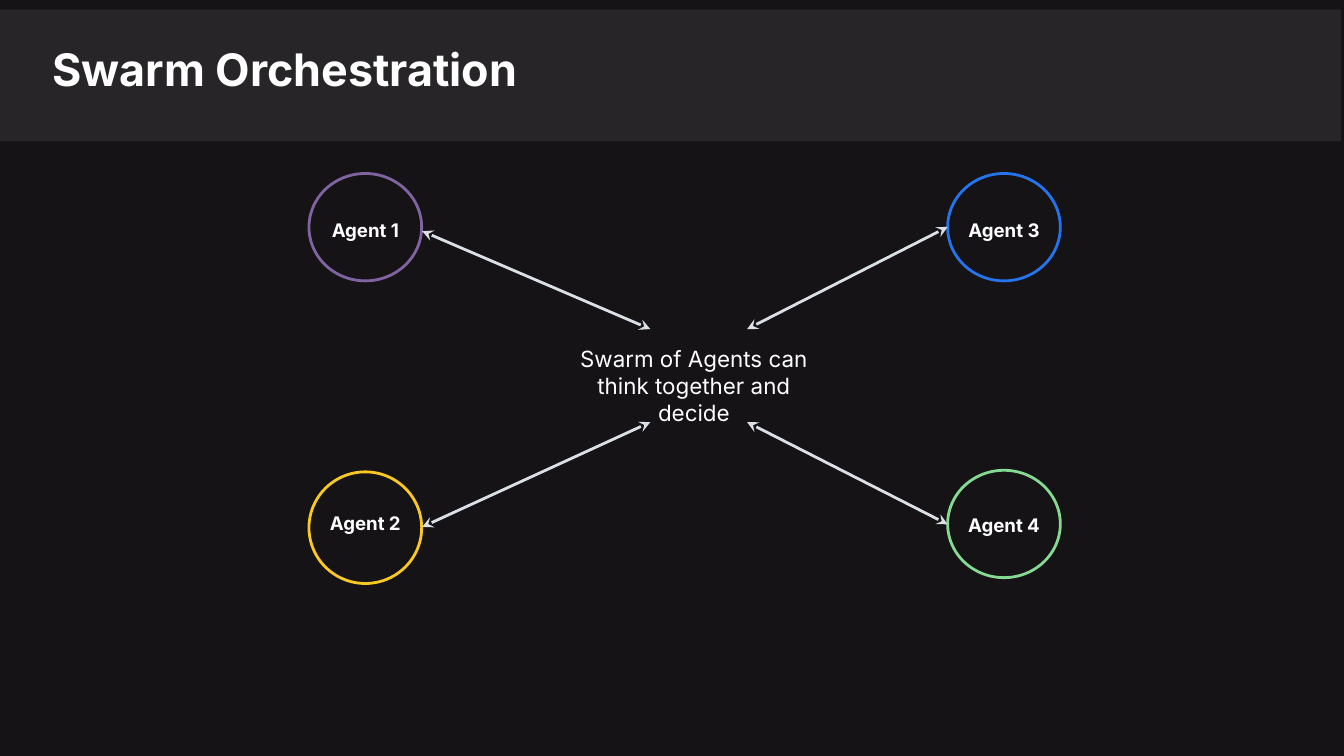
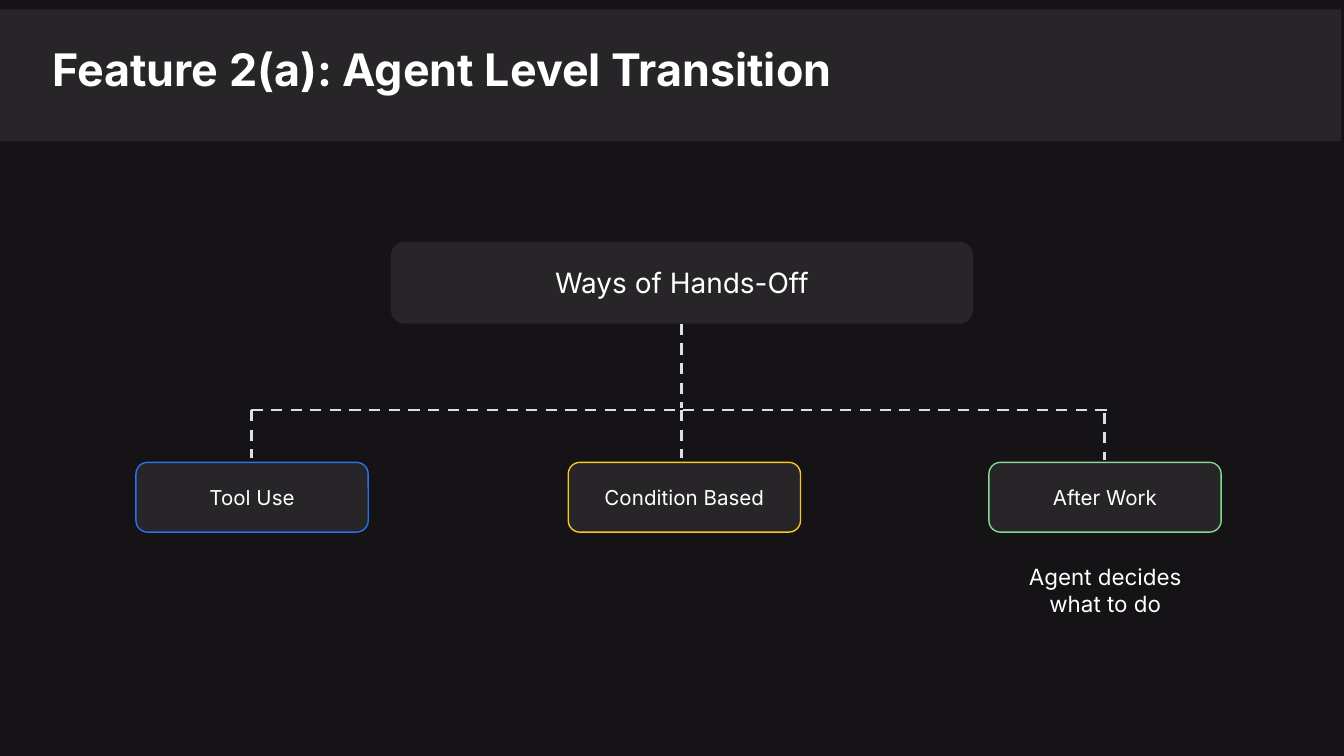
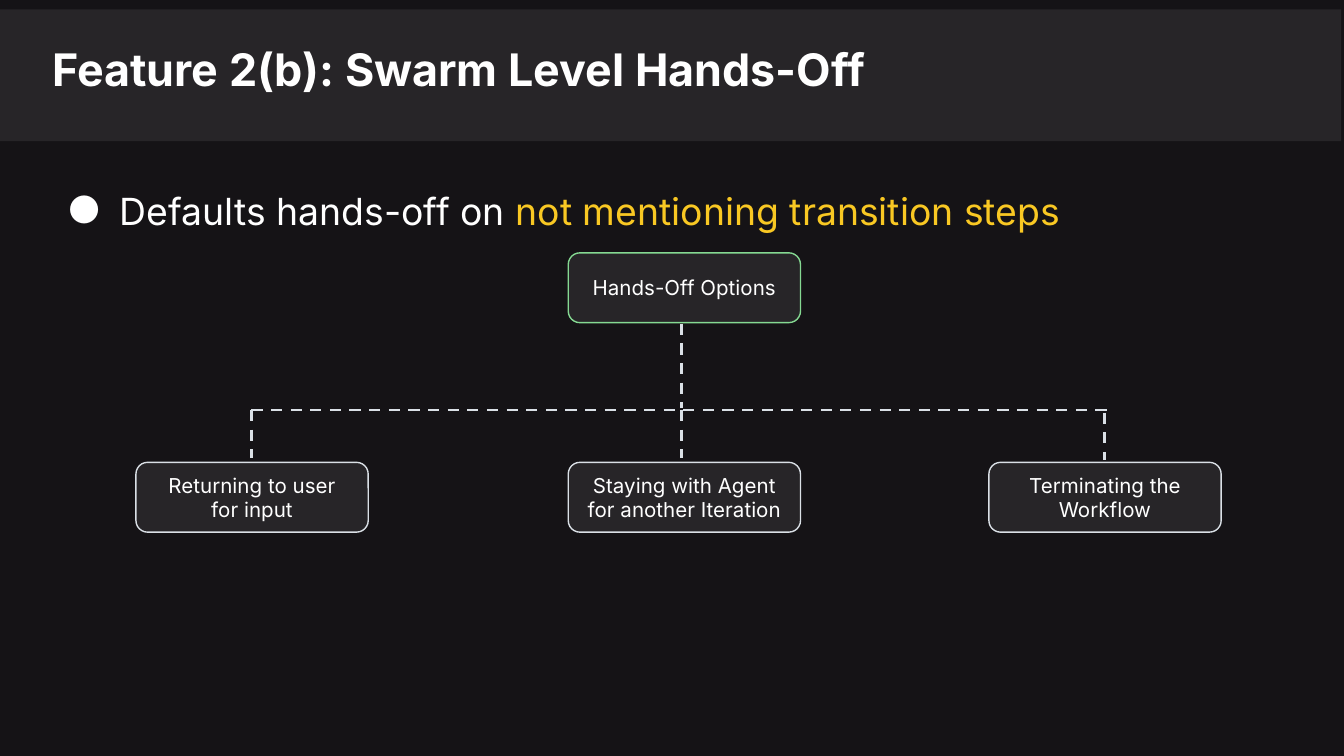
from lxml import etree
from pptx import Presentation
from pptx.dml.color import RGBColor
from pptx.enum import dml, shapes, text
from pptx.oxml.ns import qn
from pptx.util import Cm, Pt

BACKGROUND = RGBColor(0x15, 0x13, 0x16)
PANEL = RGBColor(0x27, 0x25, 0x28)
WHITE = RGBColor(0xFF, 0xFF, 0xFF)
GREY = RGBColor(0xDA, 0xE0, 0xE6)
BLUE = RGBColor(0x26, 0x74, 0xED)
GREEN = RGBColor(0x85, 0xD9, 0x92)
YELLOW = RGBColor(0xF9, 0xC8, 0x23)
PURPLE = RGBColor(0x80, 0x64, 0xA2)
FONT = "Inter"
CENTER = text.PP_ALIGN.CENTER
TOP, MIDDLE = text.MSO_ANCHOR.TOP, text.MSO_ANCHOR.MIDDLE


def write(shape, runs, size, bold=False, align=CENTER, anchor=TOP):
    """Fill the shape with one paragraph of (words, colour) runs."""
    frame = shape.text_frame
    frame.word_wrap = True
    frame.auto_size = text.MSO_AUTO_SIZE.NONE
    frame.vertical_anchor = anchor
    frame.margin_left = frame.margin_right = Cm(0.25)
    frame.margin_top = frame.margin_bottom = Cm(0.25)
    paragraph = frame.paragraphs[0]
    paragraph.alignment = align
    for words, colour in runs:
        run = paragraph.add_run()
        run.text = words
        run.font.name = FONT
        run.font.size = Pt(size)
        run.font.bold = bold
        run.font.color.rgb = colour
    return paragraph


def add_line(slide, points, dashed=False, arrows=False):
    connector = slide.shapes.add_connector(
        shapes.MSO_CONNECTOR.STRAIGHT, *[Cm(value) for value in points])
    connector.line.color.rgb = GREY
    connector.line.width = Pt(1.5)
    if dashed:
        connector.line.dash_style = dml.MSO_LINE.DASH
    properties = connector.element.spPr
    if arrows:
        line = properties.find(qn("a:ln"))
        for end in ("a:headEnd", "a:tailEnd"):
            etree.SubElement(line, qn(end), type="stealth")
    etree.SubElement(properties, qn("a:effectLst"))


presentation = Presentation()
presentation.slide_width = Cm(25.4)
presentation.slide_height = Cm(14.29)
background = presentation.slide_master.background.fill
background.solid()
background.fore_color.rgb = BACKGROUND

# Title bands
titles = ["Swarm Orchestration",
          "Feature 2(a): Agent Level Transition",
          "Feature 2(b): Swarm Level Hands-Off"]
for words in titles:
    slide = presentation.slides.add_slide(presentation.slide_layouts[5])
    band = slide.shapes.add_shape(
        shapes.MSO_SHAPE.RECTANGLE, 0, Cm(0.18), Cm(25.35), Cm(2.49))
    band.shadow.inherit = False
    band.fill.solid()
    band.fill.fore_color.rgb = PANEL
    band.line.fill.background()
    title = slide.shapes.title
    title.element.addprevious(band.element)
    title.left, title.top = Cm(0.74), Cm(0.53)
    title.width, title.height = Cm(22.2), Cm(1.47)
    write(title, [(words, WHITE)], 24, True, text.PP_ALIGN.LEFT)
swarm, agent_level, swarm_level = presentation.slides

# Swarm of four agents
agents = [("Agent 1", PURPLE, 5.84, 3.28, 2.03, 3.89),
          ("Agent 2", YELLOW, 5.84, 8.92, 2.11, 9.42),
          ("Agent 3", BLUE, 17.91, 3.28, 2.03, 3.89),
          ("Agent 4", GREEN, 17.91, 8.89, 2.03, 9.47)]
for name, colour, left, top, height, label_top in agents:
    circle = swarm.shapes.add_shape(
        shapes.MSO_SHAPE.OVAL, Cm(left), Cm(top), Cm(2.13), Cm(height))
    circle.shadow.inherit = False
    circle.fill.background()
    circle.line.color.rgb = colour
    circle.line.width = Pt(1.5)
    label = swarm.shapes.add_textbox(Cm(left), Cm(label_top), Cm(2.13), Cm(0.94))
    write(label, [(name, WHITE)], 10, True)

for points in [(7.98, 4.37, 12.29, 6.22), (12.29, 7.98, 7.98, 9.96),
               (14.12, 6.22, 17.91, 4.29), (14.12, 7.98, 17.91, 9.91)]:
    add_line(swarm, points, arrows=True)

message = swarm.shapes.add_textbox(Cm(10.64), Cm(6.27), Cm(4.95), Cm(1.7))
write(message, [("Swarm of Agents can think together and decide", WHITE)], 12)

# Hands-off trees: root box, then one leaf under each branch
branches = [(12.88, 6.12, 12.88, 7.72), (4.75, 7.75, 21.03, 7.75),
            (4.75, 7.75, 4.75, 8.66), (12.88, 7.75, 12.88, 8.66),
            (20.88, 7.8, 20.88, 8.69)]
leaf_places = [(left, 8.74, 4.39, 1.32) for left in (2.57, 10.74, 18.69)]
trees = [
    (agent_level, (7.39, 4.57, 11, 1.55), 15,
     [("Ways of Hands-Off", None), ("Tool Use", BLUE),
      ("Condition Based", YELLOW), ("After Work", GREEN)]),
    (swarm_level, (10.74, 4.78, 4.39, 1.32), 11,
     [("Hands-Off Options", GREEN), ("Returning to user for input", GREY),
      ("Staying with Agent for another Iteration", GREY),
      ("Terminating the Workflow", GREY)]),
]
for slide, root_place, root_size, boxes in trees:
    for points in branches:
        add_line(slide, points, dashed=True)
    places = [root_place] + leaf_places
    sizes = [root_size, 11, 11, 11]
    for (words, outline), place, size in zip(boxes, places, sizes):
        box = slide.shapes.add_shape(
            shapes.MSO_SHAPE.ROUNDED_RECTANGLE, *[Cm(value) for value in place])
        box.adjustments[0] = 0.167
        box.shadow.inherit = False
        box.fill.solid()
        box.fill.fore_color.rgb = PANEL
        if outline is None:
            box.line.fill.background()
        else:
            box.line.color.rgb = outline
            box.line.width = Pt(0.75)
        write(box, [(words, WHITE)], size, anchor=MIDDLE)

caption = agent_level.shapes.add_textbox(Cm(18.82), Cm(10.39), Cm(4.14), Cm(1.02))
write(caption, [("Agent decides what to do", WHITE)], 12)

# Bullet above the swarm-level tree
bullet_box = swarm_level.shapes.add_textbox(Cm(0.74), Cm(3.3), Cm(23.24), Cm(2.16))
bullet = write(bullet_box, [("Defaults hands-off on ", WHITE),
                            ("not mentioning transition steps", YELLOW)],
               20, align=text.PP_ALIGN.LEFT)
properties = bullet._p.get_or_add_pPr()
properties.set("marL", str(Cm(1.27)))
properties.set("indent", str(Cm(-0.99)))
bullet_colour = etree.SubElement(properties, qn("a:buClr"))
etree.SubElement(bullet_colour, qn("a:srgbClr"), val=str(WHITE))
etree.SubElement(properties, qn("a:buFont"), typeface=FONT)
etree.SubElement(properties, qn("a:buChar"), char="●")

presentation.save("out.pptx")
